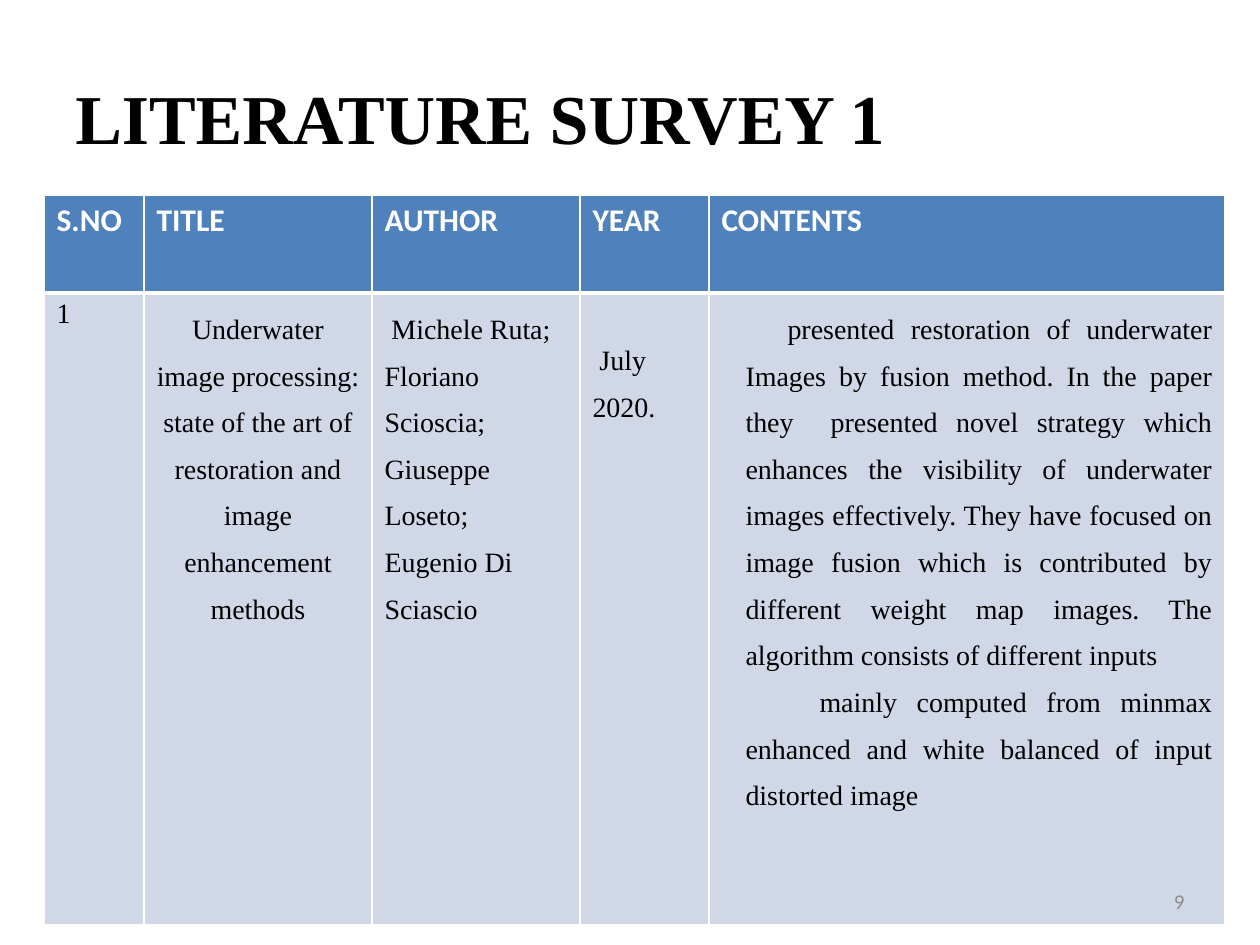
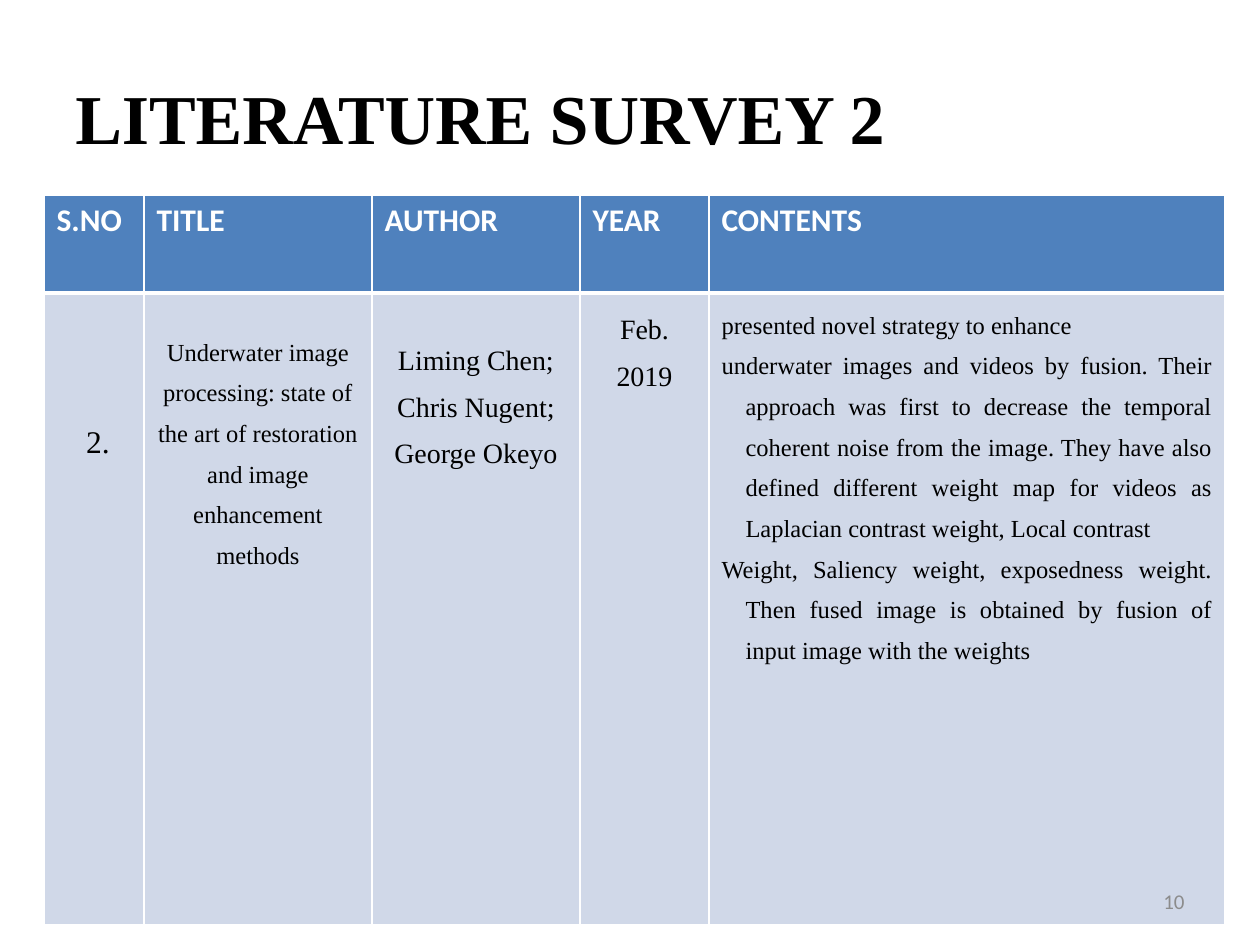
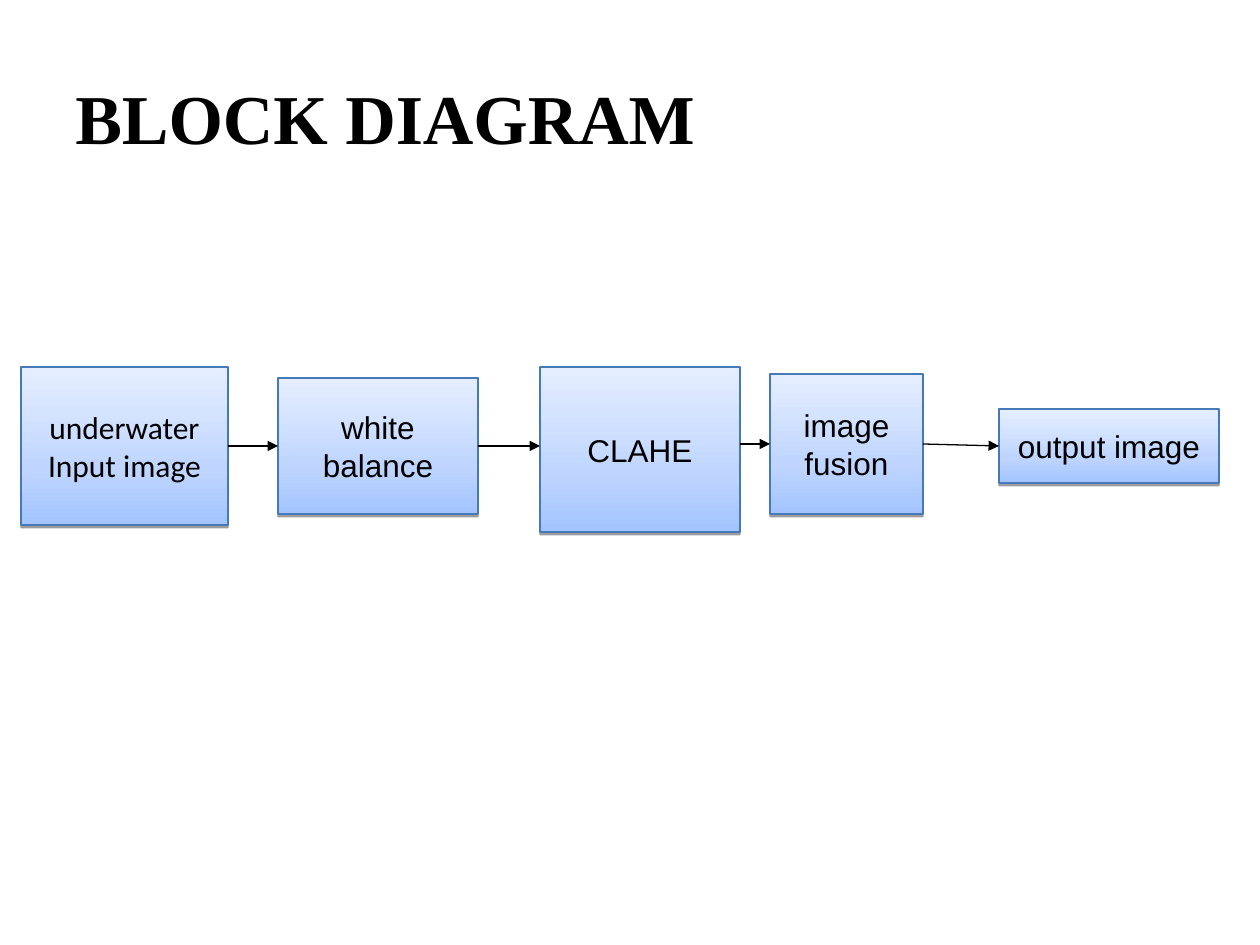
"""Build two literature survey slides and a block diagram slide."""
from dataclasses import dataclass

from lxml.etree import SubElement
from pptx import Presentation
from pptx.dml.color import RGBColor as Rgb
from pptx.enum.shapes import MSO_CONNECTOR as Connector, MSO_SHAPE as Shape
from pptx.enum.text import MSO_ANCHOR as Anchor, PP_ALIGN as Align
from pptx.oxml.ns import qn
from pptx.util import Emu, Pt


@dataclass(frozen=True)
class Theme:
    """Colours, fonts and type sizes shared by the slides."""
    ink: str = "000000"
    white: str = "FFFFFF"
    muted: str = "8C8C8C"
    header: str = "4F81BD"
    body: str = "D0D8E8"
    outline: str = "4579B8"
    gradient: tuple = ((0, "A3C4FF"), (35, "BFD5FF"), (100, "E5EEFF"))
    serif: str = "Times New Roman"
    sans: str = "Calibri"
    block_font: str = "Arial"
    title_size: int = 40
    label_size: int = 18
    text_size: int = 16
    small_size: int = 14
    number_size: int = 12


THEME = Theme()
EMU_PER_PX = 914400 / 126
HEADINGS = ("S.NO", "TITLE", "AUTHOR", "YEAR", "CONTENTS")
COLUMN_WIDTHS = (100, 228, 208, 129, 516)
ROW_HEIGHTS = (98, 632)
CELL_TOP = 6
HANGING = 24


@dataclass(frozen=True)
class Entry:
    """Paragraphs of one table cell and how they are set."""
    paragraphs: tuple
    size: int = THEME.text_size
    align: Align = Align.LEFT
    spacing: float = 1.5
    drop: int = 0
    left: int = 0
    first_lines: tuple = ()


@dataclass(frozen=True)
class Block:
    """One stage of the block diagram."""
    label: str
    left: int
    top: int
    width: int
    height: int
    font: str = THEME.block_font

    @property
    def middle(self):
        """Height of the middle of the sides."""
        return self.top + self.height / 2

    @property
    def right(self):
        """Position of the right side."""
        return self.left + self.width


PAPER_TITLE = ("Underwater image processing: state of the art of restoration "
               "and image enhancement methods")

SURVEY_1 = (
    Entry(("1",), spacing=1.0),
    Entry((PAPER_TITLE,), align=Align.CENTER),
    Entry((" Michele Ruta;", "Floriano Scioscia;", "Giuseppe Loseto;",
           "Eugenio Di Sciascio")),
    Entry((" July 2020.",), drop=31),
    Entry(("presented restoration of underwater Images by fusion method. In the "
           "paper they  presented novel strategy which enhances the visibility of "
           "underwater images effectively. They have focused on image fusion which "
           "is contributed by different weight map images. The algorithm consists "
           "of different inputs",
           "mainly computed from minmax enhanced and white balanced of input "
           "distorted image"),
          align=Align.JUSTIFY, left=HANGING, first_lines=(42, 74)),
)

SURVEY_2 = (
    Entry((" 2.",), THEME.label_size, Align.CENTER, 2.0, drop=92),
    Entry((PAPER_TITLE,), THEME.small_size, Align.CENTER, drop=27),
    Entry(("Liming Chen; Chris Nugent; George Okeyo",), align=Align.CENTER, drop=31),
    Entry(("Feb. 2019",), align=Align.CENTER),
    Entry(("presented novel strategy to enhance",
           "underwater images and videos by fusion. Their approach was first to "
           "decrease the temporal coherent noise from the image. They have also "
           "defined different weight map for videos as Laplacian contrast weight, "
           "Local contrast",
           "Weight, Saliency weight, exposedness weight. Then fused image is "
           "obtained by fusion of input image with the weights"),
          THEME.small_size, Align.JUSTIFY, left=HANGING,
          first_lines=(-HANGING,) * 3),
)

BLOCKS = (
    Block("underwater Input image", 21, 367, 207, 158, THEME.sans),
    Block("white balance", 278, 378, 200, 136),
    Block("CLAHE", 540, 367, 200, 165),
    Block("image fusion", 770, 374, 153, 140),
    Block("output image", 999, 409, 220, 74),
)
ARROW_HEIGHTS = ((446, 446), (446, 446), (444, 444), (444, 446))


def px(length):
    """Turn px into EMU."""
    return Emu(round(length * EMU_PER_PX))


def box(*lengths):
    """Turn several px lengths into EMU."""
    return [px(length) for length in lengths]


def add_run(paragraph, text, font, size, color=THEME.ink, bold=False):
    """Add one styled run."""
    run = paragraph.add_run()
    run.text = text
    run.font.name = font
    run.font.size = Pt(size)
    run.font.bold = bold
    run.font.color.rgb = Rgb.from_string(color)


def add_label(slide, bounds, text, font, size, color, bold=False, align=Align.LEFT):
    """Add one line of text, centred in height."""
    frame = slide.shapes.add_textbox(*box(*bounds)).text_frame
    frame.word_wrap = True
    frame.vertical_anchor = Anchor.MIDDLE
    frame.paragraphs[0].alignment = align
    add_run(frame.paragraphs[0], text, font, size, color, bold)


def add_titled_slide(deck, title):
    """Add a blank slide with the shared title."""
    slide = deck.slides.add_slide(deck.slide_layouts[6])
    add_label(slide, (63, 38, 1134, 158), title, THEME.serif, THEME.title_size,
              THEME.ink, bold=True)
    return slide


def add_color(parent, color):
    """Add a colour element and return it."""
    return SubElement(parent, qn("a:srgbClr"), val=color)


def style_cell(cell, fill, top_border, bottom_border):
    """Give a cell white borders and a plain fill."""
    properties = cell._tc.get_or_add_tcPr()
    for side, width in zip("LRTB", (1, 1, top_border, bottom_border)):
        border = SubElement(properties, qn(f"a:ln{side}"), w=str(Pt(width)))
        add_color(SubElement(border, qn("a:solidFill")), THEME.white)
    cell.fill.solid()
    cell.fill.fore_color.rgb = Rgb.from_string(fill)


def fill_entry(cell, entry):
    """Write the paragraphs of an entry into its cell."""
    cell.margin_top = px(CELL_TOP + entry.drop)
    frame = cell.text_frame
    for index, text in enumerate(entry.paragraphs):
        paragraph = frame.add_paragraph() if index else frame.paragraphs[0]
        paragraph.alignment = entry.align
        paragraph.line_spacing = entry.spacing
        if entry.first_lines:
            indents = paragraph._p.get_or_add_pPr()
            indents.set("marL", str(px(entry.left)))
            indents.set("indent", str(px(entry.first_lines[index])))
        add_run(paragraph, text, THEME.serif, entry.size)


def add_survey_table(slide, entries):
    """Add the table of one surveyed paper."""
    bounds = box(44, 195, sum(COLUMN_WIDTHS), sum(ROW_HEIGHTS))
    table = slide.shapes.add_table(2, len(HEADINGS), *bounds).table
    table.horz_banding = False
    for row, height in zip(table.rows, ROW_HEIGHTS):
        row.height = px(height)
    for index, (heading, entry) in enumerate(zip(HEADINGS, entries)):
        table.columns[index].width = px(COLUMN_WIDTHS[index])
        head, body = table.cell(0, index), table.cell(1, index)
        style_cell(head, THEME.header, 1, 3)
        style_cell(body, THEME.body, 3, 1)
        add_run(head.text_frame.paragraphs[0], heading, THEME.sans,
                THEME.label_size, THEME.white, bold=True)
        fill_entry(body, entry)


def add_survey_slide(deck, title, entries, number):
    """Add a survey slide with its table and page number."""
    slide = add_titled_slide(deck, title)
    add_survey_table(slide, entries)
    add_label(slide, (903, 876, 294, 50), number, THEME.sans, THEME.number_size,
              THEME.muted, align=Align.RIGHT)


def shade_block(stage):
    """Give a stage its gradient, outline and shadow."""
    stage.fill.gradient()
    stage.fill.gradient_angle = 90
    stops = stage._element.spPr.find(qn("a:gradFill")).find(qn("a:gsLst"))
    stops.clear()
    for position, color in THEME.gradient:
        add_color(SubElement(stops, qn("a:gs"), pos=str(position * 1000)), color)
    stage.line.color.rgb = Rgb.from_string(THEME.outline)
    stage.line.width = Pt(0.75)
    stage.shadow.inherit = False
    effects = stage._element.spPr.find(qn("a:effectLst"))
    shadow = SubElement(effects, qn("a:outerShdw"), blurRad="0",
                        dist=str(Pt(1.6)), dir="5400000", rotWithShape="0")
    SubElement(add_color(shadow, THEME.ink), qn("a:alpha"), val="38000")


def add_block(slide, block):
    """Add one stage with its label."""
    stage = slide.shapes.add_shape(
        Shape.RECTANGLE, *box(block.left, block.top, block.width, block.height))
    shade_block(stage)
    frame = stage.text_frame
    frame.word_wrap = True
    frame.vertical_anchor = Anchor.MIDDLE
    frame.margin_left = frame.margin_right = px(9)
    frame.margin_top = frame.margin_bottom = px(5)
    frame.paragraphs[0].alignment = Align.CENTER
    add_run(frame.paragraphs[0], block.label, block.font, THEME.label_size)
    return stage


def add_arrow(slide, source, target, heights):
    """Add an arrow between two (block, stage) pairs, joined at side middles."""
    (source_block, source_stage), (target_block, target_stage) = source, target
    start, end = heights
    arrow = slide.shapes.add_connector(
        Connector.STRAIGHT,
        *box(source_block.right, start, target_block.left, end))
    if start == source_block.middle:
        arrow.begin_connect(source_stage, 3)
    if end == target_block.middle:
        arrow.end_connect(target_stage, 1)
    arrow.line.color.rgb = Rgb.from_string(THEME.ink)
    arrow.line.width = Pt(0.75)
    SubElement(arrow.line._get_or_add_ln(), qn("a:tailEnd"), type="triangle")
    SubElement(arrow._element.spPr, qn("a:effectLst"))


def add_diagram_slide(deck):
    """Add the chain of processing stages."""
    slide = add_titled_slide(deck, "BLOCK DIAGRAM")
    chain = [(block, add_block(slide, block)) for block in BLOCKS]
    for source, target, heights in zip(chain, chain[1:], ARROW_HEIGHTS):
        add_arrow(slide, source, target, heights)


def main():
    """Build and save the deck."""
    deck = Presentation()
    deck.slide_width, deck.slide_height = box(1260, 945)
    add_survey_slide(deck, "LITERATURE SURVEY 1", SURVEY_1, "9")
    add_survey_slide(deck, "LITERATURE SURVEY 2", SURVEY_2, "10")
    add_diagram_slide(deck)
    deck.save("out.pptx")


if __name__ == "__main__":
    main()
